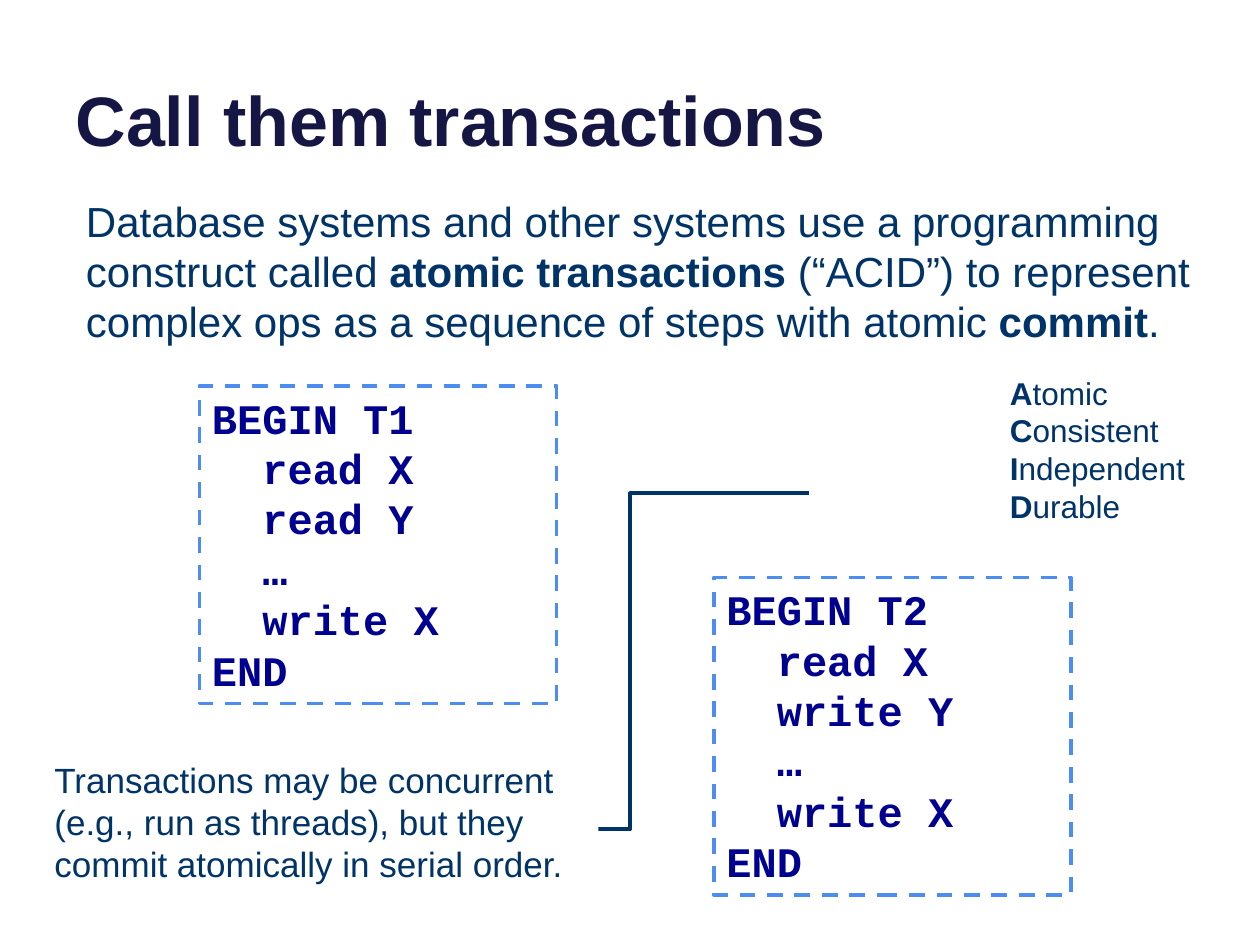
import pptx
import pptx.util
import pptx.dml.color
import pptx.enum.dml
import pptx.enum.shapes
import pptx.enum.text
import pptx.oxml.ns
import lxml.etree

PX = 9525
NAVY = "003367"


def color(value):
    return pptx.dml.color.RGBColor.from_string(value)


def write(shape, lines, size, font, ink):
    frame = shape.text_frame
    frame.word_wrap = True
    for index, runs in enumerate(lines):
        paragraph = frame.paragraphs[0] if index == 0 else frame.add_paragraph()
        paragraph.alignment = pptx.enum.text.PP_ALIGN.LEFT
        for text, bold in runs:
            run = paragraph.add_run()
            run.text = text
            run.font.name = font
            run.font.size = pptx.util.Pt(size)
            run.font.bold = bold
            run.font.color.rgb = color(ink)


presentation = pptx.Presentation()
presentation.slide_width = 960 * PX
presentation.slide_height = 720 * PX
slide = presentation.slides.add_slide(presentation.slide_layouts[5])

title = slide.shapes.title
title.left, title.top, title.width, title.height = 48 * PX, -36 * PX, 864 * PX, 163 * PX
title.text_frame.vertical_anchor = pptx.enum.text.MSO_ANCHOR.BOTTOM
write(title, [[("Call them transactions", True)]], 40, "Arial", "161645")

transactions = [
    (152, 294, ["BEGIN T1", "  read X", "  read Y", "  …", "  write X", "END"]),
    (544, 440, ["BEGIN T2", "  read X", "  write Y", "  …", "  write X", "END"]),
]
for left, top, code in transactions:
    box = slide.shapes.add_shape(
        pptx.enum.shapes.MSO_SHAPE.RECTANGLE, left * PX, top * PX, 272 * PX, 242 * PX
    )
    box.shadow.inherit = False
    box.fill.background()
    box.line.color.rgb = color("4D8CF1")
    box.line.width = pptx.util.Pt(2.25)
    box.line.dash_style = pptx.enum.dml.MSO_LINE.DASH
    box.text_frame.vertical_anchor = pptx.enum.text.MSO_ANCHOR.TOP
    write(box, [[(line, True)] for line in code], 24, "Courier New", "000090")

definition = slide.shapes.add_textbox(56 * PX, 144 * PX, 880 * PX, 126 * PX)
write(definition, [[
    ("Database systems and other systems use a programming construct called ", False),
    ("atomic transactions", True),
    (" (“ACID”) to represent complex ops as a sequence of steps with atomic ", False),
    ("commit", True),
    (".", False),
]], 24, "Arial", NAVY)

connector = slide.shapes.add_connector(
    pptx.enum.shapes.MSO_CONNECTOR.ELBOW, 344 * PX, 632 * PX, 616 * PX, 376 * PX
)
connector.line.color.rgb = color(NAVY)
connector.line.width = pptx.util.Pt(2.25)
lxml.etree.SubElement(connector._element.spPr, pptx.oxml.ns.qn("a:effectLst"))

concurrency = [[(
    "Transactions may be concurrent (e.g., run as threads), "
    "but they commit atomically in serial order.", False
)]]
properties = ["Atomic", "Consistent", "Independent", "Durable"]
acid = [[(word[0], True), (word[1:], False)] for word in properties]
notes = [
    (32, 573, 424, 107, concurrency, 20),
    (760, 280, 176, 126, acid, 18),
]
for left, top, width, height, lines, size in notes:
    note = slide.shapes.add_shape(
        pptx.enum.shapes.MSO_SHAPE.RECTANGLE, left * PX, top * PX, width * PX, height * PX
    )
    note.shadow.inherit = False
    note.fill.solid()
    note.fill.fore_color.rgb = color("FFFFFF")
    note.line.fill.background()
    note.text_frame.vertical_anchor = pptx.enum.text.MSO_ANCHOR.TOP
    write(note, lines, size, "Arial", NAVY)

presentation.save("out.pptx")
